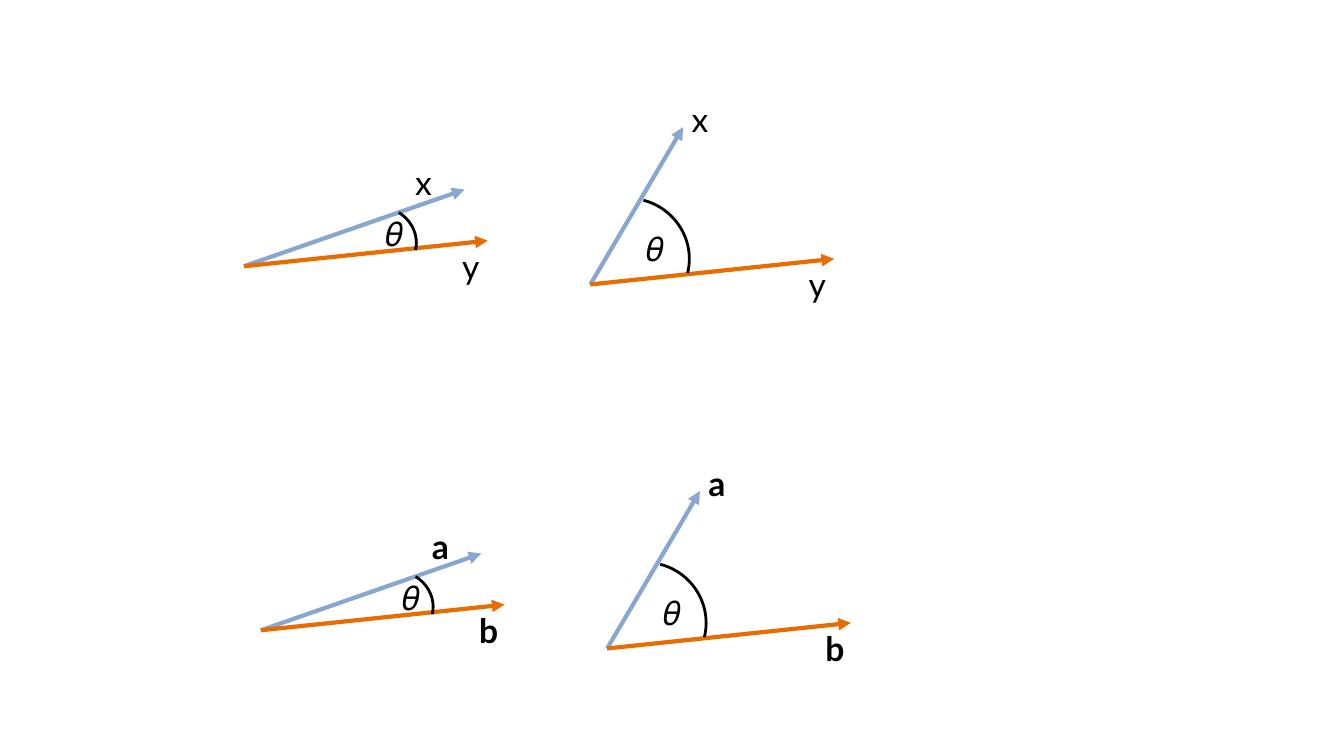
from lxml.etree import SubElement
from pptx import Presentation
from pptx.dml.color import RGBColor
from pptx.enum.shapes import MSO_CONNECTOR, MSO_SHAPE
from pptx.enum.text import MSO_AUTO_SIZE
from pptx.oxml.ns import qn
from pptx.util import Pt

# Each row: names of the two vectors, bold or not, shift from the first row
ROWS = [
    {"names": ("x", "y"), "bold": False, "shift": (0, 0)},
    {"names": ("a", "b"), "bold": True, "shift": (12, 260)},
]
# Each angle: vertex on the slide; all other places are relative to the vertex
ANGLES = [
    {"vertex": (174.3, 190.2), "upper_tip": (157.5, -54.8),
     "upper_name": (115.2, -77.8), "theta": (94.3, -41.8),
     "arc": (73.3, -41.8, 50.4, 46.1), "turn": 31.7, "sweep": (162, 207.09)},
    {"vertex": (421.7, 203.2), "upper_tip": (66.3, -112.4),
     "upper_name": (65.2, -136.2), "theta": (33.2, -44),
     "arc": (-15.5, -61.3, 86.4, 85), "turn": 31.2, "sweep": (151.62, 205.88)},
]
LOWER_TIP = (174.1, -18.3)
LOWER_NAME = (148.8, -18.3)
LABEL_SIZE = (50.4, 36)

THEME = {
    "font": "Lato", "label": 24, "vector": 3, "arc": 2,
    "upper": RGBColor(0x87, 0xA7, 0xD0),
    "lower": RGBColor(0xE7, 0x6D, 0x00),
    "ink": RGBColor(0, 0, 0),
}

deck = Presentation()
deck.slide_width, deck.slide_height = Pt(960), Pt(540)
slide = deck.slides.add_slide(deck.slide_layouts[6])


def from_vertex(vertex, offset):
    return [Pt(base + step) for base, step in zip(vertex, offset)]


def add_vector(vertex, tip, color):
    vector = slide.shapes.add_connector(
        MSO_CONNECTOR.STRAIGHT,
        *from_vertex(vertex, (0, 0)), *from_vertex(vertex, tip))
    vector.line.width = Pt(THEME["vector"])
    vector.line.color.rgb = color
    SubElement(vector.line._get_or_add_ln(), qn("a:tailEnd"), type="triangle")
    SubElement(vector._element.spPr, qn("a:effectLst"))


def add_label(text, position, bold=False, color=THEME["ink"]):
    label = slide.shapes.add_textbox(*position, *map(Pt, LABEL_SIZE))
    frame = label.text_frame
    frame.word_wrap = True
    frame.auto_size = MSO_AUTO_SIZE.SHAPE_TO_FIT_TEXT
    run = frame.paragraphs[0].add_run()
    run.text = text
    run.font.name = THEME["font"]
    run.font.size = Pt(THEME["label"])
    run.font.bold = bold
    run.font.color.rgb = color


def add_angle_arc(vertex, box, turn, sweep):
    arc = slide.shapes.add_shape(
        MSO_SHAPE.ARC, *from_vertex(vertex, box[:2]), *map(Pt, box[2:]))
    arc.adjustments[0], arc.adjustments[1] = sweep
    arc.rotation = turn
    arc.shadow.inherit = False
    arc.fill.background()
    arc.line.width = Pt(THEME["arc"])
    arc.line.color.rgb = THEME["ink"]


for row in ROWS:
    upper, lower = row["names"]
    for angle in ANGLES:
        vertex = [base + step for base, step in zip(angle["vertex"], row["shift"])]
        add_vector(vertex, angle["upper_tip"], THEME["upper"])
        add_vector(vertex, LOWER_TIP, THEME["lower"])
        add_label(upper, from_vertex(vertex, angle["upper_name"]), bold=row["bold"])
        add_label(lower, from_vertex(vertex, LOWER_NAME), bold=row["bold"])
        add_angle_arc(vertex, angle["arc"], angle["turn"], angle["sweep"])
        add_label("𝜃", from_vertex(vertex, angle["theta"]))

deck.save("out.pptx")
